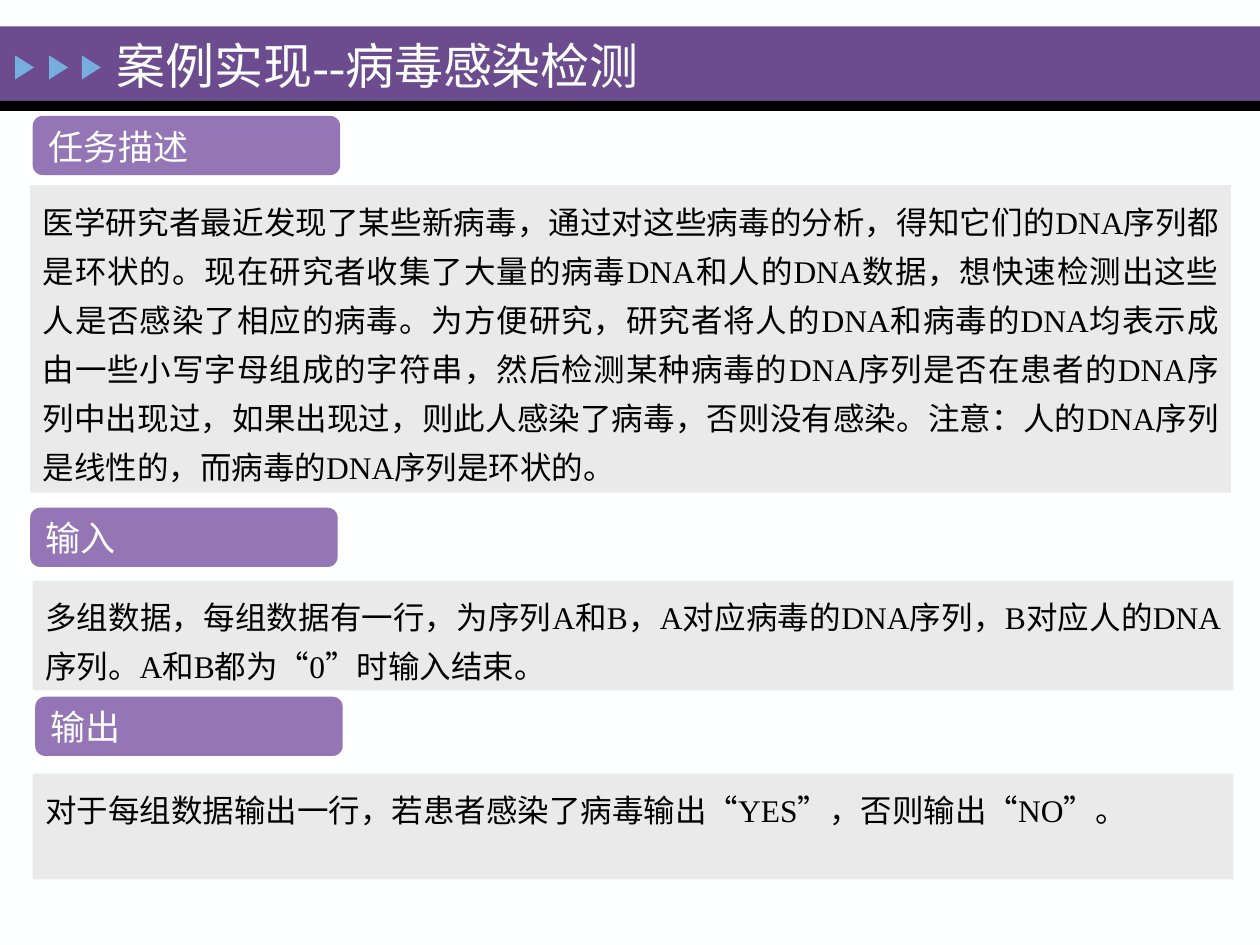
"""Build the task-description slide of the virus infection detection case."""
from dataclasses import dataclass

from pptx import Presentation
from pptx.dml.color import RGBColor
from pptx.enum.shapes import MSO_SHAPE
from pptx.enum.text import MSO_ANCHOR, PP_ALIGN
from pptx.util import Inches, Pt

RECTANGLE = MSO_SHAPE.RECTANGLE
ROUNDED = MSO_SHAPE.ROUNDED_RECTANGLE
TRIANGLE = MSO_SHAPE.ISOSCELES_TRIANGLE
TOP, MIDDLE = MSO_ANCHOR.TOP, MSO_ANCHOR.MIDDLE
LEFT, JUSTIFY = PP_ALIGN.LEFT, PP_ALIGN.JUSTIFY


@dataclass(frozen=True)
class Theme:
    font: str = "Times New Roman"
    paper: RGBColor = RGBColor(0xFE, 0xFF, 0xFF)
    ink: RGBColor = RGBColor(0, 0, 0)
    banner: RGBColor = RGBColor(0x6C, 0x4C, 0x8F)
    arrow: RGBColor = RGBColor(0x76, 0xAE, 0xDD)
    label: RGBColor = RGBColor(0x94, 0x76, 0xB6)
    panel: RGBColor = RGBColor(0xEA, 0xEA, 0xEA)
    title_size: Pt = Pt(28)
    label_size: Pt = Pt(20)
    body_size: Pt = Pt(18)


@dataclass(frozen=True)
class Box:
    left: float
    top: float
    width: float
    height: float

    def lengths(self) -> list:
        return [Inches(v) for v in (self.left, self.top, self.width, self.height)]


@dataclass(frozen=True)
class Section:
    heading: str
    label: Box
    body: str
    panel: Box


THEME = Theme()
LABEL_SIZE = (2.44, 0.47)
PANEL_WIDTH = 9.53
SECTIONS = [
    Section(
        "任务描述",
        Box(0.26, 0.92, *LABEL_SIZE),
        "医学研究者最近发现了某些新病毒，通过对这些病毒的分析，得知它们的DNA序列都是环状的。"
        "现在研究者收集了大量的病毒DNA和人的DNA数据，想快速检测出这些人是否感染了相应的病毒。"
        "为方便研究，研究者将人的DNA和病毒的DNA均表示成由一些小写字母组成的字符串，"
        "然后检测某种病毒的DNA序列是否在患者的DNA序列中出现过，如果出现过，"
        "则此人感染了病毒，否则没有感染。注意：人的DNA序列是线性的，而病毒的DNA序列是环状的。",
        Box(0.24, 1.47, PANEL_WIDTH, 2.44),
    ),
    Section(
        "输入",
        Box(0.24, 4.03, *LABEL_SIZE),
        "多组数据，每组数据有一行，为序列A和B，A对应病毒的DNA序列，B对应人的DNA序列。"
        "A和B都为“0”时输入结束。",
        Box(0.26, 4.61, PANEL_WIDTH, 0.87),
    ),
    Section(
        "输出",
        Box(0.28, 5.53, *LABEL_SIZE),
        "对于每组数据输出一行，若患者感染了病毒输出“YES”，否则输出“NO”。",
        Box(0.26, 6.14, PANEL_WIDTH, 0.84),
    ),
]


def add_block(slide, preset, box: Box, fill: RGBColor):
    block = slide.shapes.add_shape(preset, *box.lengths())
    block.shadow.inherit = False
    block.fill.solid()
    block.fill.fore_color.rgb = fill
    block.line.fill.background()
    return block


def write(holder, text: str, size: Pt, color: RGBColor, anchor=TOP, align=LEFT):
    frame = holder.text_frame
    frame.word_wrap = True
    frame.vertical_anchor = anchor
    paragraph = frame.paragraphs[0]
    paragraph.text = text
    paragraph.alignment = align
    paragraph.font.name = THEME.font
    paragraph.font.size = size
    paragraph.font.color.rgb = color
    return paragraph


def add_banner(slide, title: str) -> None:
    add_block(slide, RECTANGLE, Box(0, 0.21, 10, 0.59), THEME.banner)
    add_block(slide, RECTANGLE, Box(0, 0.8, 10, 0.08), THEME.ink)
    for left in (0.1, 0.37, 0.63):
        arrow = add_block(slide, TRIANGLE, Box(left, 0.46, 0.19, 0.15), THEME.arrow)
        arrow.rotation = 90
    heading = slide.shapes.add_textbox(*Box(0.83, 0.18, 5.4, 0.67).lengths())
    write(heading, title, THEME.title_size, THEME.paper, MIDDLE)


def add_section(slide, section: Section) -> None:
    panel = add_block(slide, RECTANGLE, section.panel, THEME.panel)
    body = write(panel, section.body, THEME.body_size, THEME.ink, align=JUSTIFY)
    body.line_spacing = 1.3
    label = add_block(slide, ROUNDED, section.label, THEME.label)
    label.adjustments[0] = 0.17
    write(label, section.heading, THEME.label_size, THEME.paper)


def main() -> None:
    deck = Presentation()
    deck.slide_width, deck.slide_height = Inches(10), Inches(7.5)
    slide = deck.slides.add_slide(deck.slide_layouts[6])
    slide.background.fill.solid()
    slide.background.fill.fore_color.rgb = THEME.paper
    add_banner(slide, "案例实现--病毒感染检测")
    for section in SECTIONS:
        add_section(slide, section)
    deck.save("out.pptx")


if __name__ == "__main__":
    main()
